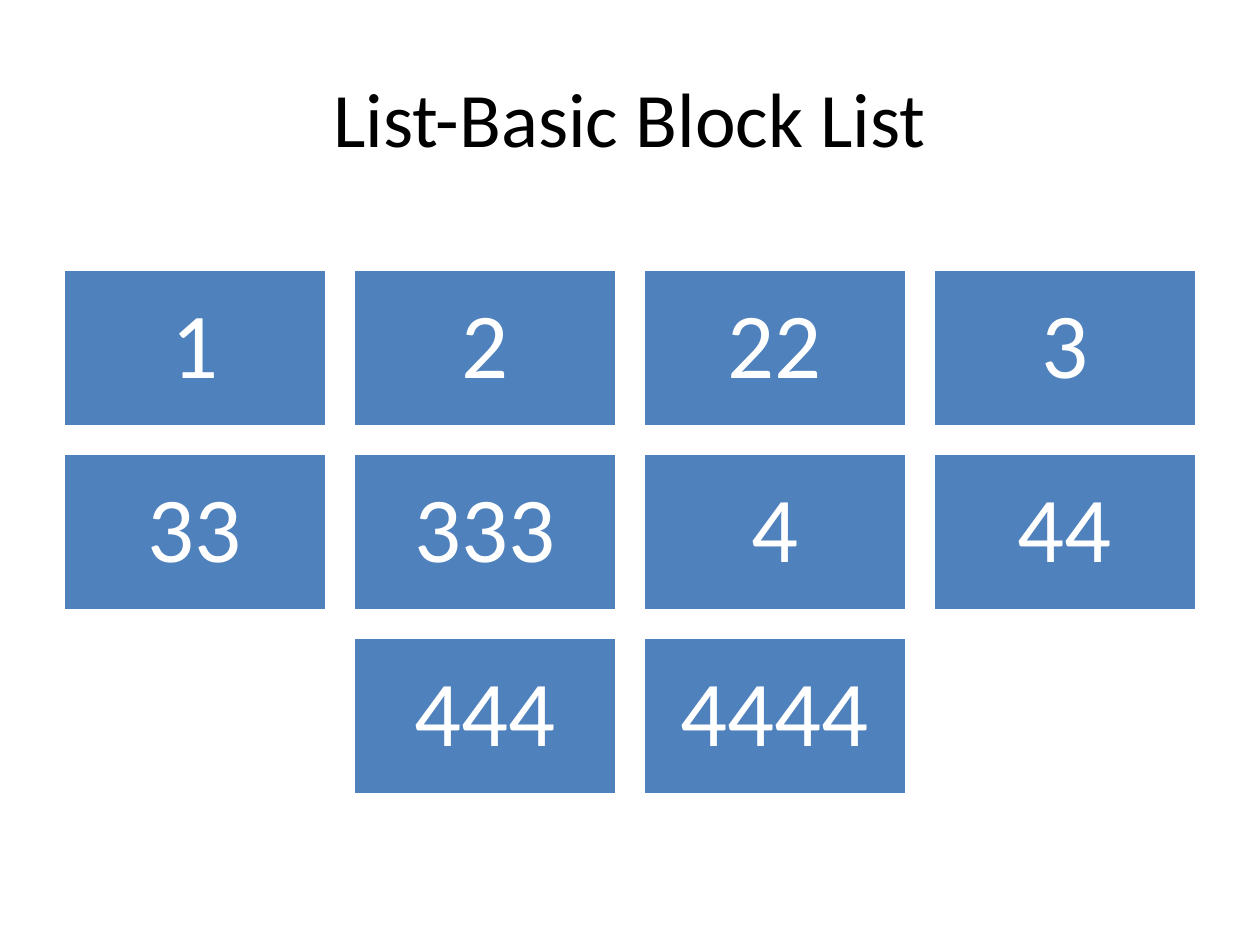
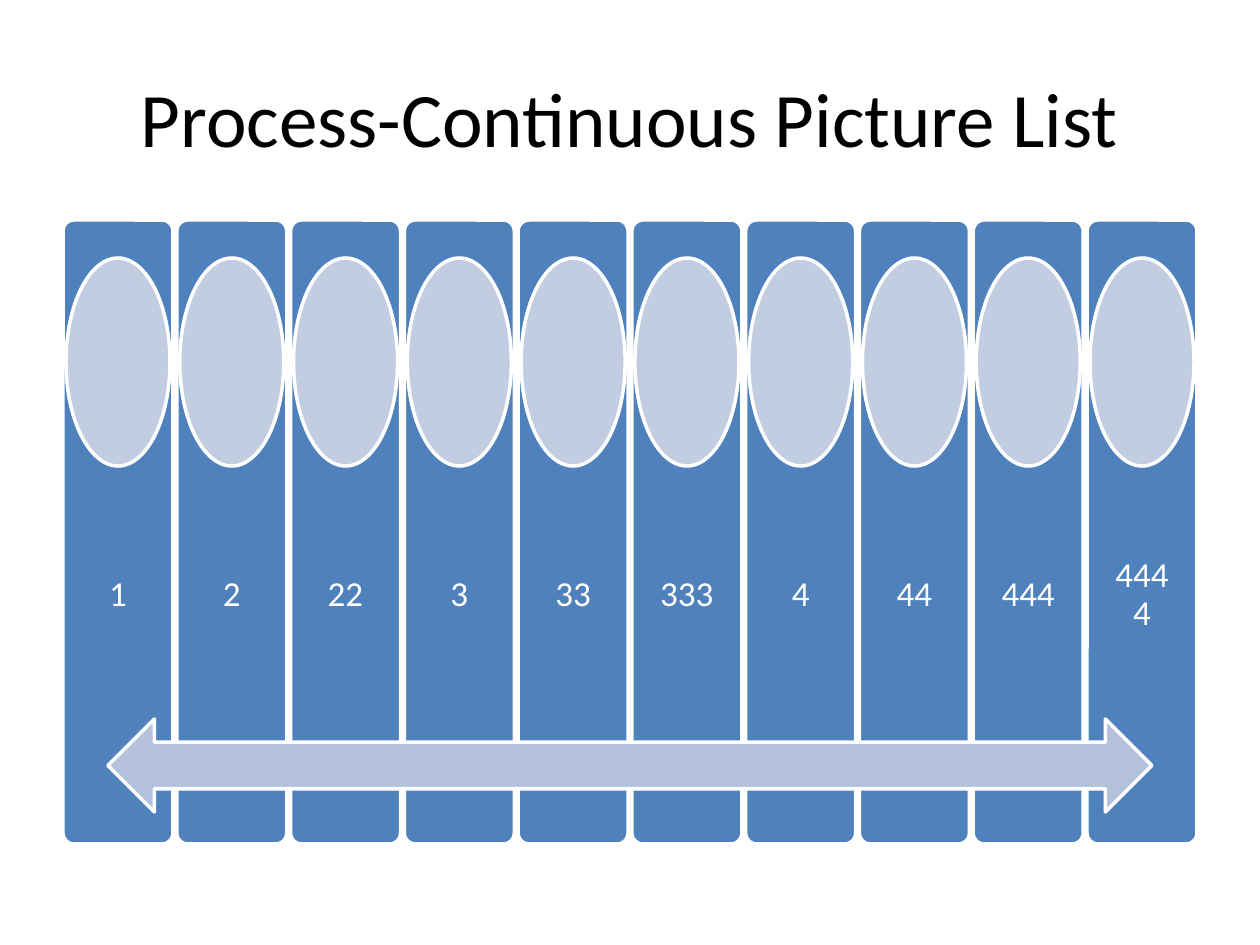
from pptx import Presentation
from pptx import util as u
from pptx.dml.color import RGBColor
from pptx.enum import shapes, text

ITEMS = ["1", "2", "22", "3", "33", "333", "4", "44", "444", "4444"]
TITLES = {"blocks": "List-Basic Block List",
          "cards": "Process-Continuous Picture List"}
COLORS = {"ink": "000000", "white": "FFFFFF", "blue": "4F81BD",
          "pale": "C2CDE1", "arrow": "B3C1DB"}
FONT = "Calibri"
KIND = shapes.MSO_SHAPE

PX = u.Inches(1) / 126
WIDE, HIGH = 1260, 945
LEFT, SPAN = 63, 1134
TITLE = (LEFT, 38, SPAN, 158)

COLS = 4
BLOCK_W, BLOCK_H, GAP, BLOCK_TOP = 264, 158, 26, 269

CARD_W, CARD_H, CARD_TOP = 110, 624, 220
OVAL_W, OVAL_H, OVAL_TOP = 104, 208, 258
LABEL_H, LABEL_TOP = 250, 470
ARROW = (108, 719, 1044, 93)


def emu(*nums):
    return [round(n * PX) for n in nums]


def rgb(name):
    return RGBColor.from_string(COLORS[name])


def write(shape, words, size, color, inset, lead=None, wrap=True):
    frame = shape.text_frame
    frame.word_wrap = wrap
    frame.vertical_anchor = text.MSO_ANCHOR.MIDDLE
    for side in ("left", "top", "right", "bottom"):
        setattr(frame, f"margin_{side}", emu(inset)[0])
    para = frame.paragraphs[0]
    para.alignment = text.PP_ALIGN.CENTER
    if lead:
        para.line_spacing = lead
    run = para.add_run()
    run.text = words
    run.font.name = FONT
    run.font.size = u.Pt(size)
    run.font.color.rgb = rgb(color)


def draw(slide, kind, box, fill):
    shape = slide.shapes.add_shape(kind, *emu(*box))
    shape.shadow.inherit = False
    shape.fill.solid()
    shape.fill.fore_color.rgb = rgb(fill)
    shape.line.color.rgb = rgb("white")
    shape.line.width = u.Pt(2)
    return shape


def start(deck, title):
    slide = deck.slides.add_slide(deck.slide_layouts[6])
    box = slide.shapes.add_textbox(*emu(*TITLE))
    write(box, title, 44, "ink", 6)
    return slide


def add_blocks(deck):
    slide = start(deck, TITLES["blocks"])
    for first in range(0, len(ITEMS), COLS):
        row = ITEMS[first:first + COLS]
        used = len(row) * (BLOCK_W + GAP) - GAP
        x = LEFT + (SPAN - used) / 2
        y = BLOCK_TOP + first // COLS * (BLOCK_H + GAP)
        for col, item in enumerate(row):
            box = (x + col * (BLOCK_W + GAP), y, BLOCK_W, BLOCK_H)
            block = draw(slide, KIND.RECTANGLE, box, "blue")
            write(block, item, 53, "white", 28, 0.9)


def add_cards(deck):
    slide = start(deck, TITLES["cards"])
    step = (SPAN - CARD_W) / (len(ITEMS) - 1)
    for num, item in enumerate(ITEMS):
        x = LEFT + num * step
        card = draw(slide, KIND.ROUNDED_RECTANGLE,
                    (x, CARD_TOP, CARD_W, CARD_H), "blue")
        card.adjustments[0] = 0.1
        label = slide.shapes.add_textbox(
            *emu(x, LABEL_TOP, CARD_W, LABEL_H))
        write(label, item, 20, "white", 20, 0.9, wrap=False)
        inset = (CARD_W - OVAL_W) / 2
        draw(slide, KIND.OVAL, (x + inset, OVAL_TOP, OVAL_W, OVAL_H), "pale")
    draw(slide, KIND.LEFT_RIGHT_ARROW, ARROW, "arrow")


def main():
    deck = Presentation()
    deck.slide_width, deck.slide_height = emu(WIDE, HIGH)
    add_blocks(deck)
    add_cards(deck)
    deck.save("out.pptx")


if __name__ == "__main__":
    main()
